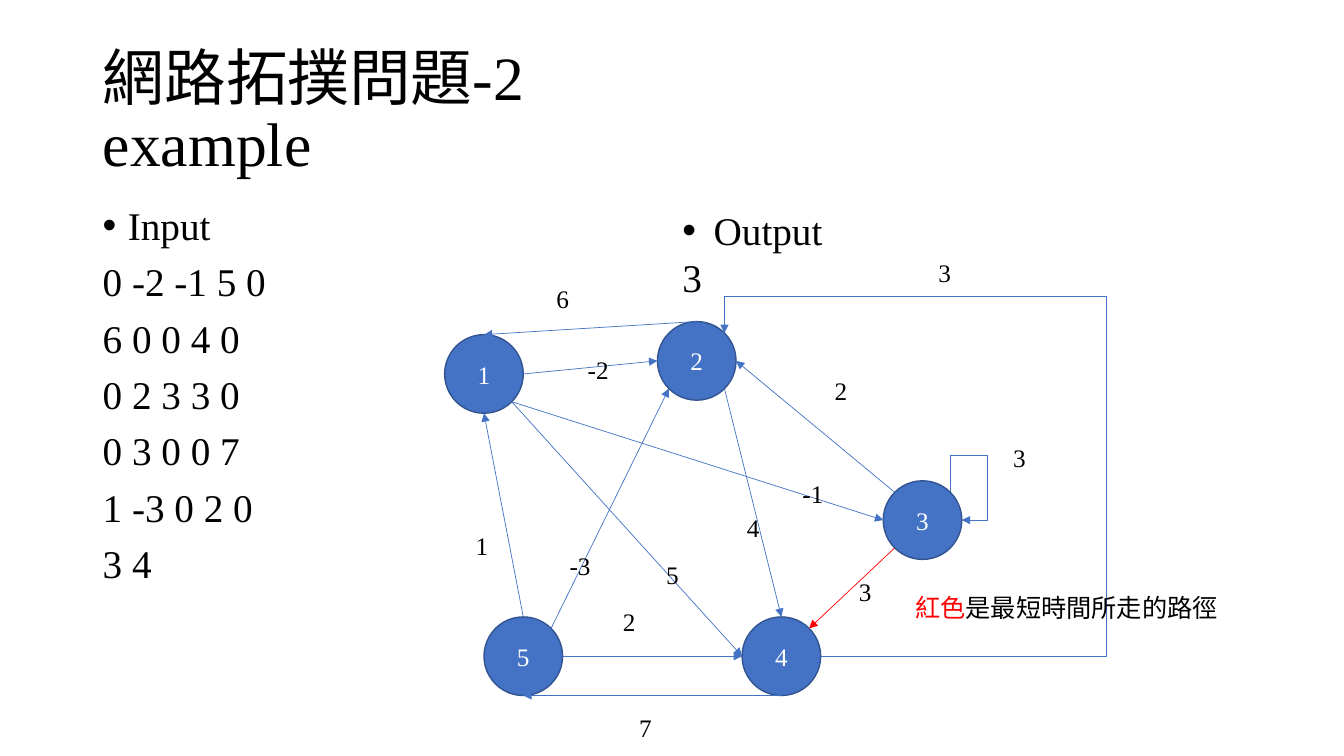
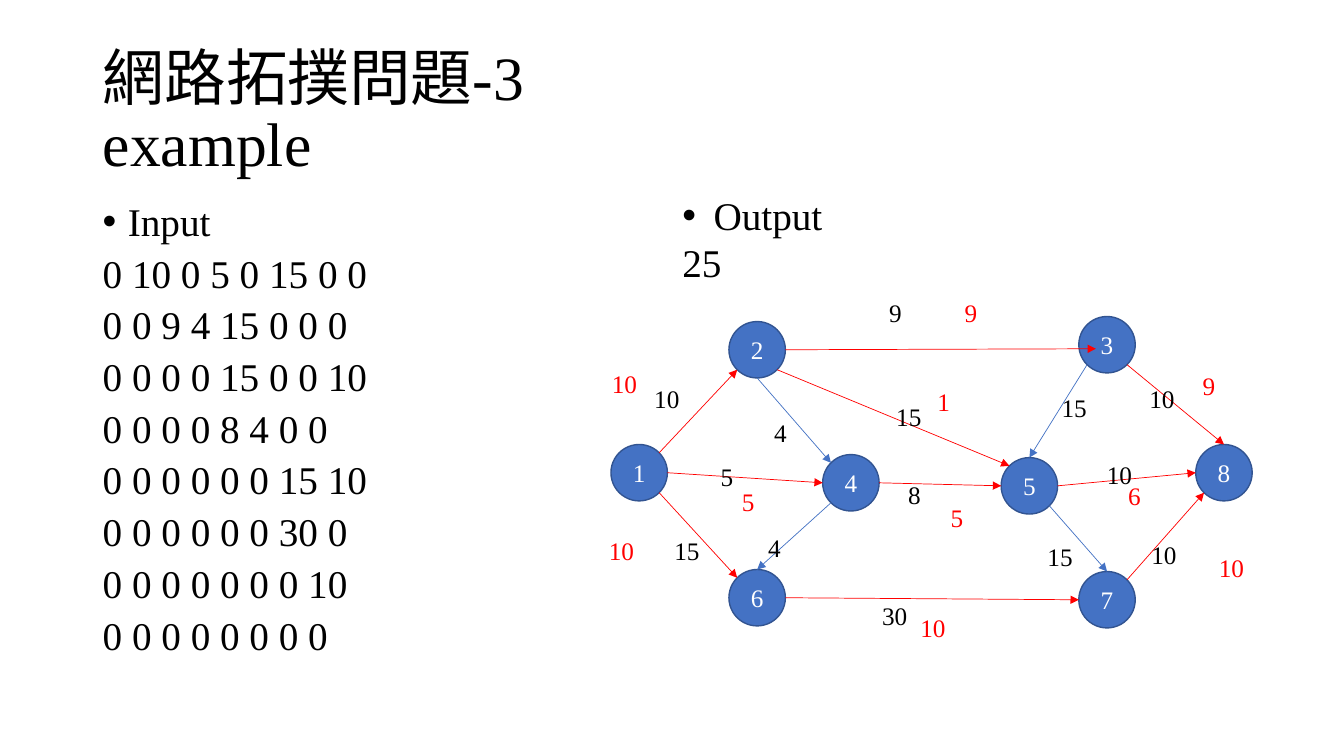
from dataclasses import dataclass
from math import sqrt

from lxml import etree
from pptx import Presentation, util as u
from pptx.dml.color import RGBColor
from pptx.enum import shapes, text
from pptx.oxml.ns import qn


@dataclass(frozen=True)
class Theme:
    font: str = "Times New Roman"
    ink: str = "000000"
    white: str = "FFFFFF"
    blue: str = "4472C4"
    outline: str = "325491"
    red: str = "FF0000"
    title: int = 44
    body: int = 28
    label: int = 18
    edge_width: float = 0.5
    node_width: float = 1


THEME = Theme()
DIAGONAL = 1 / sqrt(2)
COMPASS = {
    "n": (0, -1), "e": (1, 0), "s": (0, 1), "w": (-1, 0),
    "ne": (DIAGONAL, -DIAGONAL), "se": (DIAGONAL, DIAGONAL),
    "sw": (-DIAGONAL, DIAGONAL), "nw": (-DIAGONAL, -DIAGONAL),
}


def inches(*lengths):
    return [u.Inches(length) for length in lengths]


def write(paragraph, words, size=THEME.label, color=THEME.ink, align=None,
          spacing=None, before=None, bullet=None):
    """Add words to a paragraph; bullet is the hanging indent in inches."""
    for number, line in enumerate(words.split("\n")):
        if number:
            paragraph.add_line_break()
        run = paragraph.add_run()
        run.text = line
        run.font.name = THEME.font
        run.font.size = u.Pt(size)
        run.font.color.rgb = RGBColor.from_string(color)
    if align is not None:
        paragraph.alignment = align
    if spacing is not None:
        paragraph.line_spacing = spacing
    if before is not None:
        paragraph.space_before = u.Pt(before)
    if bullet is not None:
        properties = paragraph._p.get_or_add_pPr()
        indent = u.Inches(bullet)
        properties.set("marL", str(indent))
        properties.set("indent", str(-indent))
        etree.SubElement(properties, qn("a:buFont"), typeface="Arial")
        etree.SubElement(properties, qn("a:buChar"), char="•")


class GraphDeck:
    def __init__(self):
        self.deck = Presentation()
        self.deck.slide_width, self.deck.slide_height = inches(13.33, 7.5)

    def start(self, heading):
        self.slide = self.deck.slides.add_slide(self.deck.slide_layouts[5])
        self.nodes = {}
        title = self.slide.shapes.title
        title.left, title.top, title.width, title.height = inches(0.92, 0.4, 11.5, 1.45)
        frame = title.text_frame
        frame.auto_size = text.MSO_AUTO_SIZE.NONE
        frame.vertical_anchor = text.MSO_ANCHOR.MIDDLE
        write(frame.paragraphs[0], heading, size=THEME.title,
              align=text.PP_ALIGN.LEFT, spacing=0.9)

    def box(self, left, top, width, height, wrap=True, grow=True):
        frame = self.slide.shapes.add_textbox(*inches(left, top, width, height)).text_frame
        frame.word_wrap = wrap
        frame.auto_size = (text.MSO_AUTO_SIZE.SHAPE_TO_FIT_TEXT if grow
                           else text.MSO_AUTO_SIZE.NONE)
        return frame

    def listing(self, frame, heading, rows, bullet, **style):
        write(frame.paragraphs[0], heading, size=THEME.body, bullet=bullet, **style)
        for row in rows:
            write(frame.add_paragraph(), row, size=THEME.body, **style)

    def data(self, rows, result, top, width, spacing):
        self.listing(self.box(0.92, 2, 5.75, 4.76, grow=False), "Input", rows,
                     bullet=0.25, spacing=spacing, before=10)
        self.listing(self.box(6.67, top, width, 1.04), "Output", [result], bullet=0.31)

    def add_nodes(self, diameter, corners):
        for name, (left, top) in corners.items():
            node = self.slide.shapes.add_shape(
                shapes.MSO_SHAPE.OVAL, *inches(left, top, diameter, diameter))
            node.shadow.inherit = False
            node.fill.solid()
            node.fill.fore_color.rgb = RGBColor.from_string(THEME.blue)
            node.line.color.rgb = RGBColor.from_string(THEME.outline)
            node.line.width = u.Pt(THEME.node_width)
            node.text_frame.vertical_anchor = text.MSO_ANCHOR.MIDDLE
            write(node.text_frame.paragraphs[0], str(name), color=THEME.white,
                  align=text.PP_ALIGN.CENTER)
            radius = diameter / 2
            self.nodes[name] = (left + radius, top + radius, radius)

    def anchor(self, name, side):
        x, y, radius = self.nodes[name]
        across, down = COMPASS[side]
        return x + across * radius, y + down * radius

    def arrow(self, start, end, color=THEME.blue, kind=shapes.MSO_CONNECTOR.STRAIGHT):
        edge = self.slide.shapes.add_connector(kind, *inches(*start, *end))
        edge.line.color.rgb = RGBColor.from_string(color)
        edge.line.width = u.Pt(THEME.edge_width)
        etree.SubElement(edge.line._get_or_add_ln(), qn("a:tailEnd"), type="triangle")
        etree.SubElement(edge._element.spPr, qn("a:effectLst"))
        return edge

    def edges(self, routes, color=THEME.blue):
        for source, leave, target, arrive in routes:
            self.arrow(self.anchor(source, leave), self.anchor(target, arrive), color)

    def bent_edge(self, start, end, corner, upright=False):
        """Route through a far corner; upright leaves the start vertically."""
        (x, y), (end_x, end_y) = start, end
        run, rise = end_x - x, end_y - y
        bends = [(corner[0] - x) / run, (corner[1] - y) / rise]
        if upright:
            bends.reverse()
            mid_x, mid_y = (x + end_x) / 2, (y + end_y) / 2
            start = (mid_x + rise / 2, mid_y - run / 2)
            end = (mid_x - rise / 2, mid_y + run / 2)
        edge = self.arrow(start, end, kind=shapes.MSO_CONNECTOR.ELBOW)
        properties = edge._element.spPr
        if upright:
            properties.find(qn("a:xfrm")).set("rot", str(270 * 60000))
        geometry = properties.find(qn("a:prstGeom"))
        geometry.set("prst", "bentConnector4")
        guides = geometry.find(qn("a:avLst"))
        for number, bend in enumerate(bends, 1):
            etree.SubElement(guides, qn("a:gd"), name=f"adj{number}",
                             fmla=f"val {round(bend * 100000)}")

    def labels(self, places, color=THEME.ink):
        for words, left, top in places:
            width = 0.2 + sum(0.08 if sign == "-" else 0.125 for sign in words)
            frame = self.box(left, top, width, 0.4, wrap=False)
            write(frame.paragraphs[0], words, color=color)


graphs = GraphDeck()

# Shortest path
graphs.start("網路拓撲問題-2\nexample")
graphs.data(["0 -2 -1 5 0", "6 0 0 4 0", "0 2 3 3 0", "0 3 0 0 7", "1 -3 0 2 0", "3 4"],
            "3", top=2, width=5.75, spacing=0.9)
graphs.add_nodes(0.78, {1: (4.41, 3.32), 2: (6.52, 3.19), 3: (8.76, 4.77),
                        5: (4.8, 6.12), 4: (7.36, 6.12)})
graphs.edges([
    (1, "e", 2, "w"), (3, "nw", 2, "e"), (2, "se", 4, "n"), (5, "n", 1, "s"),
    (1, "se", 3, "w"), (1, "se", 4, "w"), (5, "e", 4, "w"), (4, "s", 5, "s"),
    (5, "ne", 2, "sw"), (2, "n", 1, "n"),
])
graphs.edges([(3, "sw", 4, "ne")], THEME.red)
graphs.bent_edge(graphs.anchor(3, "ne"), graphs.anchor(3, "e"), (9.79, 4.52), upright=True)
graphs.bent_edge(graphs.anchor(4, "e"), graphs.anchor(2, "ne"), (10.97, 2.94))
graphs.labels([
    ("6", 5.42, 2.76), ("2", 8.18, 3.67), ("3", 9.21, 2.5), ("3", 9.95, 4.34),
    ("3", 8.42, 5.67), ("4", 7.31, 5.03), ("-1", 7.86, 4.7), ("5", 6.51, 5.5),
    ("-3", 5.55, 5.41), ("1", 4.62, 5.21), ("2", 6.08, 5.97), ("7", 6.24, 7.02),
    ("-2", 5.73, 3.47),
])
legend = graphs.box(8.98, 5.83, 3.23, 0.4, wrap=False).paragraphs[0]
write(legend, "紅色", color=THEME.red)
write(legend, "是最短時間所走的路徑")

# Maximum flow
graphs.start("網路拓撲問題-3\nexample")
graphs.data(["0 10 0 5 0 15 0 0", "0 0 9 4 15 0 0 0", "0 0 0 0 15 0 0 10",
             "0 0 0 0 8 4 0 0", "0 0 0 0 0 0 15 10", "0 0 0 0 0 0 30 0",
             "0 0 0 0 0 0 0 10", "0 0 0 0 0 0 0 0"],
            "25", top=1.85, width=6.67, spacing=0.8)
graphs.add_nodes(0.56, {1: (6.06, 4.41), 2: (7.23, 3.19), 4: (8.16, 4.51), 3: (10.7, 3.14),
                        6: (7.23, 5.65), 7: (10.7, 5.67), 5: (9.93, 4.54), 8: (11.86, 4.41)})
graphs.edges([(2, "s", 4, "nw"), (3, "sw", 5, "n"), (4, "sw", 6, "n"), (5, "se", 7, "n")])
graphs.edges([
    (1, "ne", 2, "sw"), (2, "se", 5, "nw"), (4, "e", 5, "w"), (1, "e", 4, "w"),
    (1, "se", 6, "nw"), (6, "e", 7, "w"), (7, "ne", 8, "sw"), (5, "e", 8, "w"),
    (3, "se", 8, "n"),
], THEME.red)
graphs.arrow(graphs.anchor(2, "e"), (10.87, 3.46), THEME.red)

# Capacities in black, flows in red
graphs.labels([
    ("10", 6.39, 3.75), ("9", 8.72, 2.9), ("4", 7.58, 4.09), ("4", 7.52, 5.23),
    ("15", 6.59, 5.26), ("5", 7.05, 4.53), ("30", 8.65, 5.91), ("8", 8.91, 4.71),
    ("15", 8.79, 3.93), ("15", 10.43, 3.84), ("10", 11.3, 3.75), ("10", 10.88, 4.51),
    ("15", 10.29, 5.32), ("10", 11.32, 5.3),
])
graphs.labels([
    ("9", 9.47, 2.9), ("10", 5.97, 3.6), ("10", 5.94, 5.26), ("5", 7.26, 4.78),
    ("5", 9.33, 4.93), ("10", 9.03, 6.03), ("6", 11.09, 4.72), ("9", 11.83, 3.62),
    ("10", 11.99, 5.43), ("1", 9.2, 3.78),
], THEME.red)

graphs.deck.save("out.pptx")
